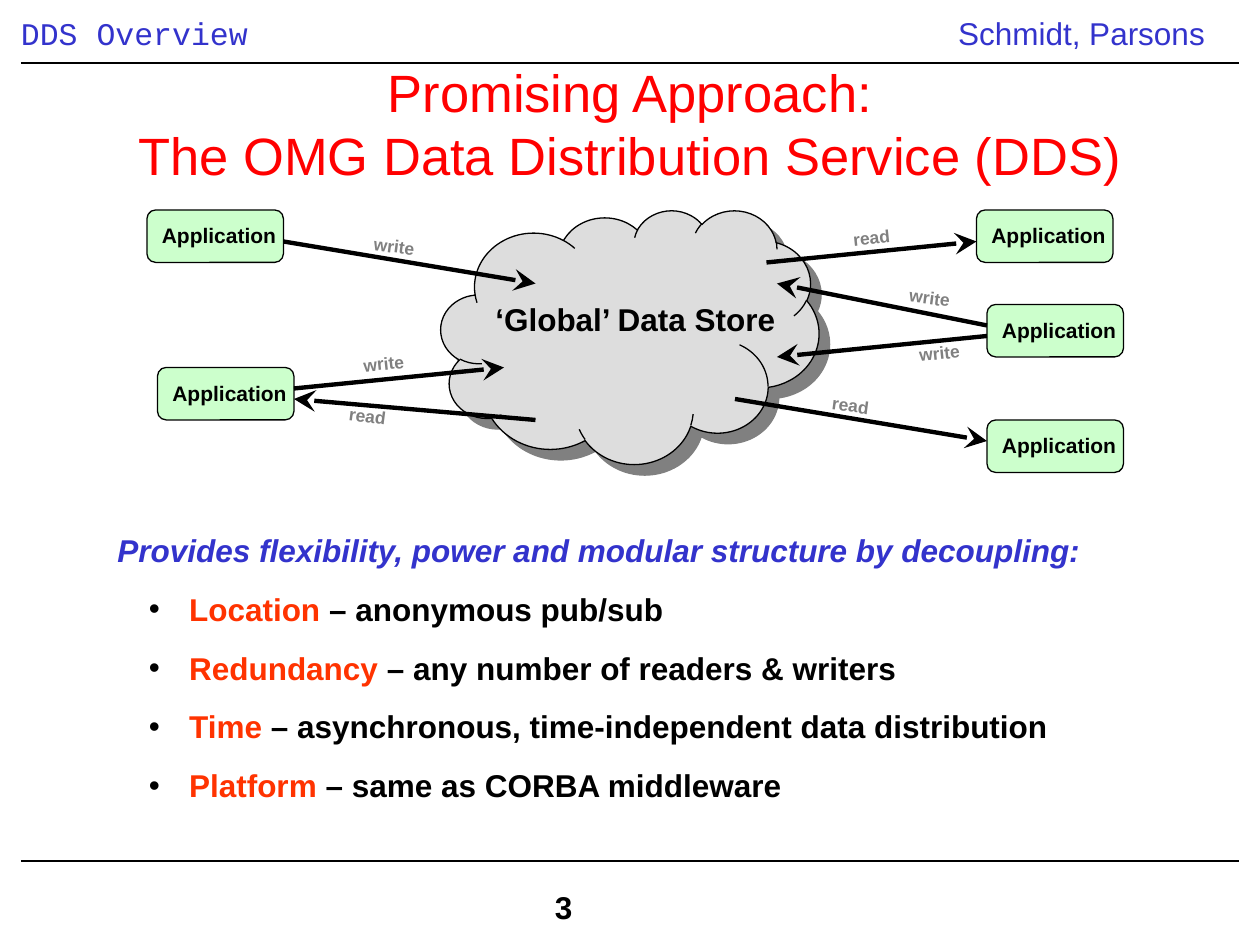
from lxml import etree
from pptx import Presentation
from pptx.dml.color import RGBColor
from pptx.enum.shapes import MSO_CONNECTOR, MSO_SHAPE
from pptx.enum.text import MSO_ANCHOR as ANCHOR, PP_ALIGN as ALIGN
from pptx.oxml.ns import qn
from pptx.util import Pt

BLACK, WHITE, BLUE, RED = "000000", "FFFFFF", "3333CC", "FF0000"
ORANGE, GRAY, GREEN, SILVER = "FF3300", "808080", "CCFFCC", "DDDDDD"


def rgb(value):
    return RGBColor.from_string(value)


def add_xml(parent, tag, **attrs):
    el = etree.SubElement(parent, qn(tag))
    for name, value in attrs.items():
        el.set(name, str(value))
    return el


def style(r, size, color, bold=False, italic=False, font="Arial"):
    f = r.font
    f.name, f.size, f.bold, f.italic = font, Pt(size), bold, italic
    f.color.rgb = rgb(color)


def set_text(sp, text, size, color, bold=False, font="Arial",
             align=ALIGN.LEFT, anchor=ANCHOR.TOP, wrap=True):
    tf = sp.text_frame
    tf.word_wrap, tf.vertical_anchor = wrap, anchor
    p = tf.paragraphs[0]
    p.text, p.alignment = text, align
    for r in p.runs:
        style(r, size, color, bold, font=font)
    return tf


def add_label(slide, box, text, size, color, **options):
    sp = slide.shapes.add_textbox(*map(Pt, box))
    set_text(sp, text, size, color, **options)
    return sp


def add_preset(slide, kind, box, fill):
    sp = slide.shapes.add_shape(kind, *map(Pt, box))
    sp.shadow.inherit = False
    sp.fill.solid()
    sp.fill.fore_color.rgb = rgb(fill)
    sp.line.color.rgb = rgb(BLACK)
    sp.line.width = Pt(0.75)
    return sp


def add_line(slide, start, end, width, arrow=False):
    ends = map(Pt, (*start, *end))
    line = slide.shapes.add_connector(MSO_CONNECTOR.STRAIGHT, *ends)
    line.line.color.rgb = rgb(BLACK)
    line.line.width = Pt(width)
    sp_pr = line._element.spPr
    if arrow:
        add_xml(sp_pr.find(qn("a:ln")), "a:tailEnd",
                type="stealth", w="lg", len="lg")
    add_xml(sp_pr, "a:effectLst")


def add_frame(slide, box):
    """Header texts, the two rules and the page number."""
    x, y, w, h = box
    topic = add_label(slide, (x, y, 426, 29), "DDS Overview", 18, BLUE,
                      font="Courier New")
    topic.text_frame.margin_left = topic.text_frame.margin_right = 0
    add_label(slide, (x + w - 180, y, 180, 29), "Schmidt, Parsons", 18, BLUE,
              align=ALIGN.CENTER)
    for rule_y in (36, 492):
        add_line(slide, (x, rule_y), (x + w, rule_y), 0.75)
    add_label(slide, (x + 298, y + h - 29, 102, 29), "3", 18, BLACK, bold=True)


def add_title(slide, box):
    add_label(slide, box,
              "Promising Approach:\vThe OMG Data Distribution Service (DDS)",
              30, RED, align=ALIGN.CENTER, anchor=ANCHOR.MIDDLE)


def add_cloud(slide, box):
    x, y, w, h = box
    cloud = add_preset(slide, MSO_SHAPE.CLOUD, box, SILVER)
    effects = cloud._element.spPr.find(qn("a:effectLst"))
    shadow = add_xml(effects, "a:outerShdw", dist=Pt(8.5), dir=45 * 60000,
                     algn="ctr", rotWithShape=0)
    add_xml(shadow, "a:srgbClr", val=GRAY)
    add_label(slide, (x + 24, y + 48, 180, 29), "‘Global’ Data Store",
              18, BLACK, bold=True)


def add_application(slide, x, y):
    sp = add_preset(slide, MSO_SHAPE.ROUNDED_RECTANGLE, (x, y, 78, 30), GREEN)
    tf = set_text(sp, "Application", 12, BLACK, bold=True)
    tf.margin_top, tf.margin_bottom, tf.margin_right = Pt(6), 0, 0


def add_diagram(slide, box):
    """Applications around the data store, with their reads and writes."""
    x, y, w, h = box
    add_cloud(slide, (x + 168, y, 216, 145))
    for dx, dy in ((0, 0), (6, 90), (474, 0), (480, 54), (480, 120)):
        add_application(slide, x + dx, y + dy)

    # arrow start, arrow end, label, label corner, label rotation
    flows = [
        ((78, 18), (222, 42), "write", (120, 11), 7.4),
        ((84, 102), (204, 90), "write", (114, 78), -6),
        ((222, 120), (84, 108), "read", (108, 108), 7.4),
        ((354, 30), (474, 18), "read", (396, 6), -6),
        ((480, 66), (360, 42), "write", (426, 40.5), 7.4),
        ((480, 72), (360, 84), "write", (431.5, 72), -6),
        ((336, 108), (480, 132), "read", (384, 102), 7.4),
    ]
    for start, end, text, corner, rotation in flows:
        (x1, y1), (x2, y2), (lx, ly) = (
            (x + dx, y + dy) for dx, dy in (start, end, corner))
        add_line(slide, (x1, y1), (x2, y2), 2.5, arrow=True)
        width = 42.5 if text == "write" else 36
        sp = add_label(slide, (lx, ly, width, 19.5), text, 10, GRAY,
                       bold=True, align=ALIGN.CENTER, wrap=False)
        sp.rotation = rotation


def add_benefits(slide, box):
    """Lead sentence and bulleted list."""
    sp = add_label(
        slide, box,
        "Provides flexibility, power and modular structure by decoupling:",
        18, BLUE, bold=True)
    tf = sp.text_frame
    tf.paragraphs[0].runs[0].font.italic = True
    benefits = {
        "Location": "anonymous pub/sub",
        "Redundancy": "any number of readers & writers",
        "Time": "asynchronous, time-independent data distribution",
        "Platform": "same as CORBA middleware",
    }
    for term, detail in benefits.items():
        p = tf.add_paragraph()
        p.level, p.space_before = 1, Pt(12)
        p_pr = p._p.get_or_add_pPr()
        p_pr.set("marL", str(Pt(41)))
        p_pr.set("indent", str(Pt(-23)))
        add_xml(add_xml(p_pr, "a:buClr"), "a:srgbClr", val=BLACK)
        add_xml(p_pr, "a:buFont", typeface="Arial")
        add_xml(p_pr, "a:buChar", char="•")
        for text, color in ((term, ORANGE), (f" – {detail}", BLACK)):
            r = p.add_run()
            r.text = text
            style(r, 18, color, bold=True)


def main():
    prs = Presentation()
    prs.slide_width, prs.slide_height = Pt(720), Pt(540)
    slide = prs.slides.add_slide(prs.slide_layouts[6])
    add_frame(slide, (12, 4.5, 696, 528.5))
    add_title(slide, (12, 33, 696, 74))
    add_diagram(slide, (84, 120, 558, 150))
    add_benefits(slide, (60, 300, 600, 160))
    prs.save("out.pptx")


if __name__ == "__main__":
    main()
